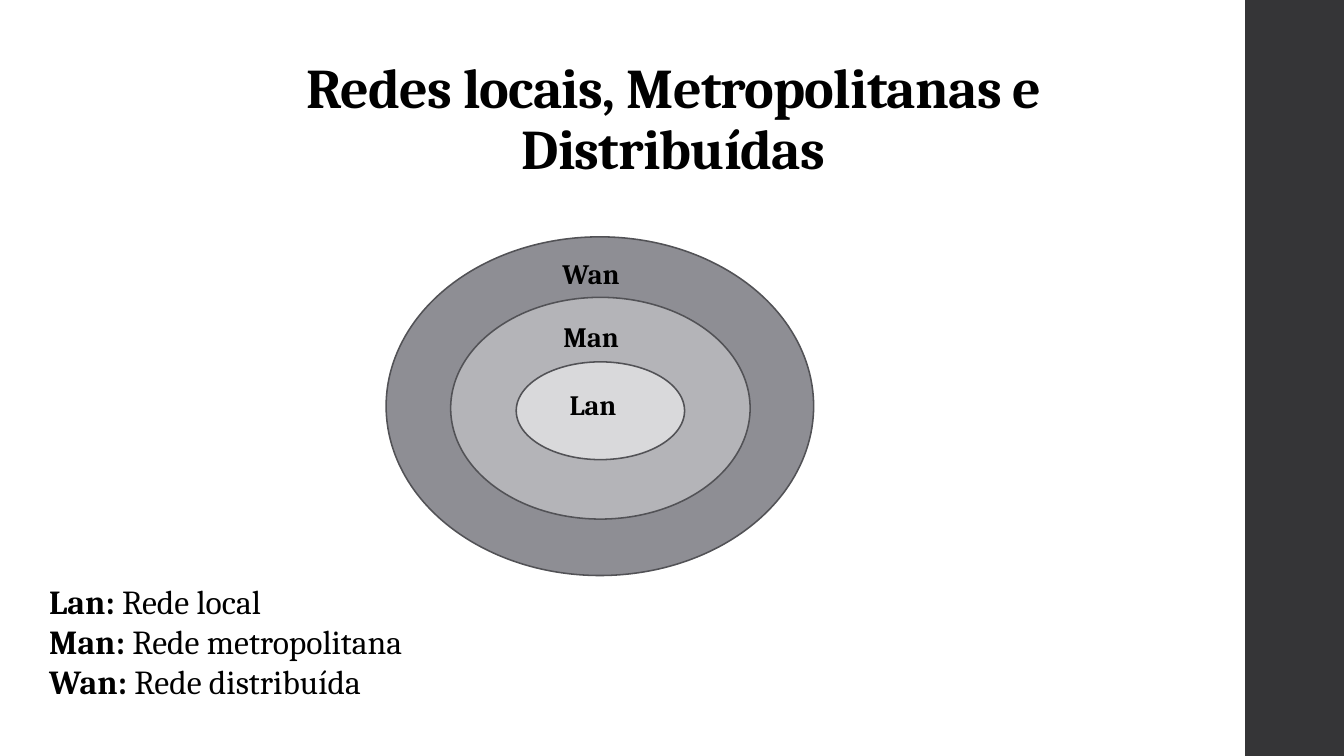
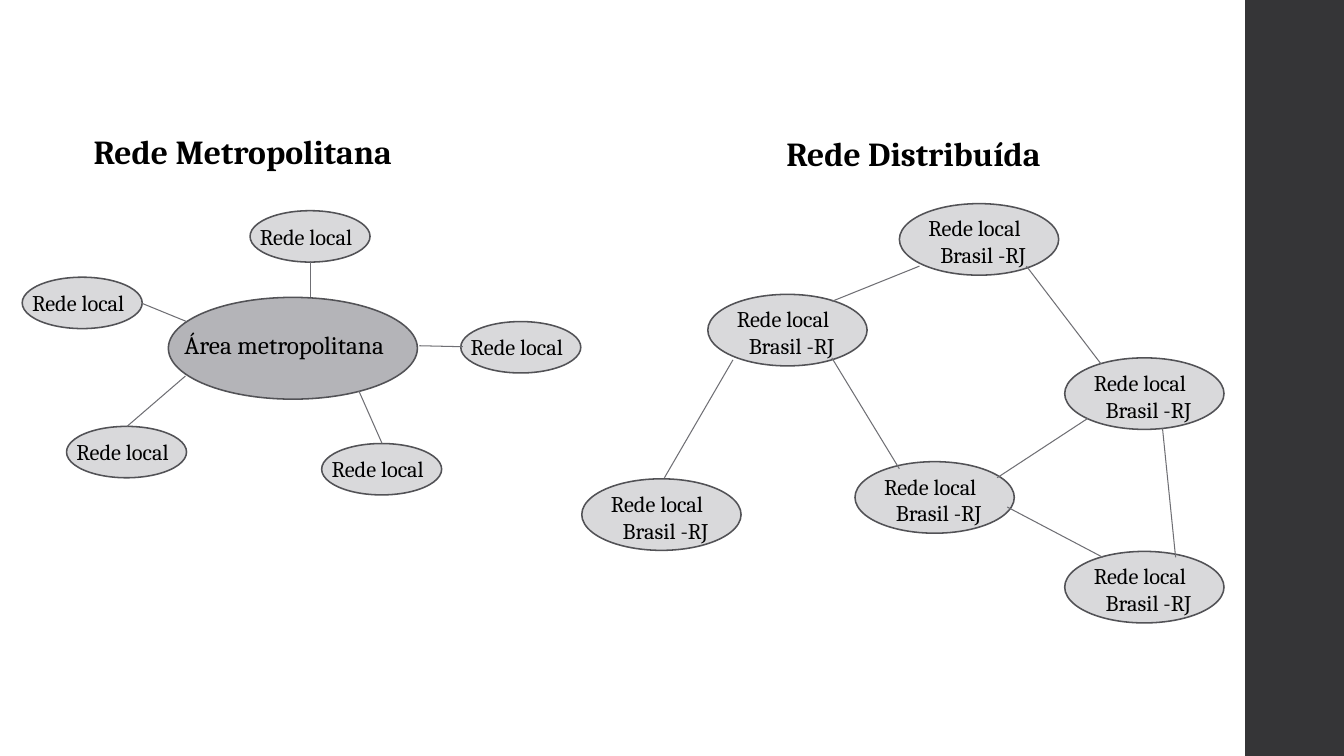
"""Build two slides on local, metropolitan and wide area networks."""
from dataclasses import dataclass

from lxml.etree import SubElement
from pptx import Presentation
from pptx.dml.color import RGBColor
from pptx.enum.shapes import MSO_CONNECTOR, MSO_SHAPE
from pptx.enum.text import MSO_ANCHOR, PP_ALIGN
from pptx.oxml.ns import qn
from pptx.util import Inches, Pt


@dataclass(frozen=True)
class Theme:
    font: str = "Cambria"
    text: str = "000000"
    band: str = "353537"
    dark: str = "8E8E94"
    medium: str = "B4B4B8"
    light: str = "D9D9DB"
    outline: str = "525256"
    link: str = "6F6F74"
    title_size: int = 40
    heading_size: int = 24
    ring_size: int = 20
    hub_size: int = 18
    node_size: int = 16
    outline_width: float = 1.1
    link_width: float = 0.75


THEME = Theme()
SLIDE_SIZE = (13.33, 7.5)
BAND = (12.35, 0, 0.98, 7.5)

TITLE = "Redes locais, Metropolitanas e Distribuídas"
TITLE_BOX = (1.48, 0.4, 10.4, 1.45)
RINGS = [
    ("Wan", (3.83, 2.35, 4.24, 3.36), THEME.dark, (5.48, 2.5)),
    ("Man", (4.47, 2.95, 2.97, 2.2), THEME.medium, (5.49, 3.12)),
    ("Lan", (5.12, 3.59, 1.67, 0.97), THEME.light, (5.55, 3.8)),
]
RING_LABEL_SIZE = (0.95, 0.44)
LEGEND = [
    ("Lan: ", "Rede local"),
    ("Man: ", "Rede metropolitana"),
    ("Wan: ", "Rede distribuída"),
]
LEGEND_BOX = (0.39, 5.71, 4.63, 1.31)

HEADINGS = [
    ("Rede Metropolitana", (0.83, 1.25, 4.21, 0.5)),
    ("Rede Distribuída", (7.7, 1.27, 3.62, 0.5)),
]
HUB = ("Área metropolitana", (1.67, 2.95, 2.47, 1.01), (1.73, 3.22, 2.66, 0.4))
METRO = {
    "lines": [("Rede local", PP_ALIGN.LEFT)],
    "size": (1.19, 0.51),
    "label_offset": (0, 0.07),
    "label_size": (1.4, 0.37),
    "nodes": [(4.57, 3.19), (3.19, 4.4), (0.66, 4.23), (2.48, 2.09), (0.22, 2.75)],
    "links": [
        (3.08, 2.59, 3.08, 2.95),
        (4.59, 3.44, 4.16, 3.43),
        (3.79, 4.4, 3.56, 3.88),
        (1.26, 4.23, 1.84, 3.73),
        (1.41, 3.01, 1.85, 3.19),
    ],
}
WIDE = {
    "lines": [("Rede local", PP_ALIGN.LEFT), ("Brasil -RJ", PP_ALIGN.CENTER)],
    "size": (1.58, 0.71),
    "label_offset": (0.19, 0.06),
    "label_size": (1.28, 0.64),
    "nodes": [
        (8.92, 2.02), (7.02, 2.92), (8.48, 4.58),
        (5.77, 4.75), (10.56, 3.55), (10.56, 5.47),
    ],
    "links": [
        (9.12, 2.64, 8.25, 2.99),
        (8.25, 3.55, 8.92, 4.65),
        (7.27, 3.57, 6.59, 4.74),
        (10.79, 4.15, 9.89, 4.74),
        (10.18, 2.64, 10.92, 3.61),
        (11.53, 4.25, 11.66, 5.53),
        (9.99, 5.03, 10.94, 5.53),
    ],
}


def inches(values):
    return [Inches(value) for value in values]


def color(value):
    return RGBColor.from_string(value)


def add_filled(page, kind, bounds, fill, outlined=True):
    shape = page.shapes.add_shape(kind, *inches(bounds))
    shape.shadow.inherit = False
    shape.fill.solid()
    shape.fill.fore_color.rgb = color(fill)
    if outlined:
        shape.line.color.rgb = color(THEME.outline)
        shape.line.width = Pt(THEME.outline_width)
    else:
        shape.line.fill.background()


def add_text(page, bounds, paragraphs, size):
    """Write paragraphs given as (alignment, [(text, bold), ...])."""
    box = page.shapes.add_textbox(*inches(bounds))
    frame = box.text_frame
    frame.word_wrap = True
    for index, (alignment, spans) in enumerate(paragraphs):
        para = frame.add_paragraph() if index else frame.paragraphs[0]
        para.alignment = alignment
        for text, bold in spans:
            span = para.add_run()
            span.text = text
            span.font.name = THEME.font
            span.font.size = Pt(size)
            span.font.bold = bold
            span.font.color.rgb = color(THEME.text)
    return frame


def add_label(page, bounds, text, size, bold=False):
    return add_text(page, bounds, [(PP_ALIGN.LEFT, [(text, bold)])], size)


def add_link(page, ends):
    link = page.shapes.add_connector(MSO_CONNECTOR.STRAIGHT, *inches(ends))
    link.line.color.rgb = color(THEME.link)
    link.line.width = Pt(THEME.link_width)
    SubElement(link._element.spPr, qn("a:effectLst"))


def add_page(deck):
    page = deck.slides.add_slide(deck.slide_layouts[6])
    add_filled(page, MSO_SHAPE.RECTANGLE, BAND, THEME.band, outlined=False)
    return page


def add_title(page):
    frame = add_text(page, TITLE_BOX, [(PP_ALIGN.CENTER, [(TITLE, True)])], THEME.title_size)
    frame.vertical_anchor = MSO_ANCHOR.BOTTOM
    para = frame.paragraphs[0]
    para.line_spacing = 0.9
    para.runs[0].font._element.set("spc", "-50")


def add_network(page, network):
    paragraphs = [(alignment, [(text, False)]) for text, alignment in network["lines"]]
    shift_x, shift_y = network["label_offset"]
    for left, top in network["nodes"]:
        add_filled(page, MSO_SHAPE.OVAL, (left, top, *network["size"]), THEME.light)
        label = (left + shift_x, top + shift_y, *network["label_size"])
        add_text(page, label, paragraphs, THEME.node_size)
    for ends in network["links"]:
        add_link(page, ends)


def build_scopes(deck):
    page = add_page(deck)
    add_title(page)
    for name, bounds, fill, label_at in RINGS:
        add_filled(page, MSO_SHAPE.OVAL, bounds, fill)
        add_label(page, (*label_at, *RING_LABEL_SIZE), name, THEME.ring_size, bold=True)
    legend = [(PP_ALIGN.LEFT, [(term, True), (meaning, False)]) for term, meaning in LEGEND]
    add_text(page, LEGEND_BOX, legend, THEME.heading_size)


def build_networks(deck):
    page = add_page(deck)
    hub_name, hub_bounds, hub_label = HUB
    add_filled(page, MSO_SHAPE.OVAL, hub_bounds, THEME.medium)
    add_label(page, hub_label, hub_name, THEME.hub_size)
    for network in (METRO, WIDE):
        add_network(page, network)
    for heading, bounds in HEADINGS:
        add_label(page, bounds, heading, THEME.heading_size, bold=True)


def main():
    deck = Presentation()
    deck.slide_width, deck.slide_height = inches(SLIDE_SIZE)
    build_scopes(deck)
    build_networks(deck)
    deck.save("out.pptx")


if __name__ == "__main__":
    main()
